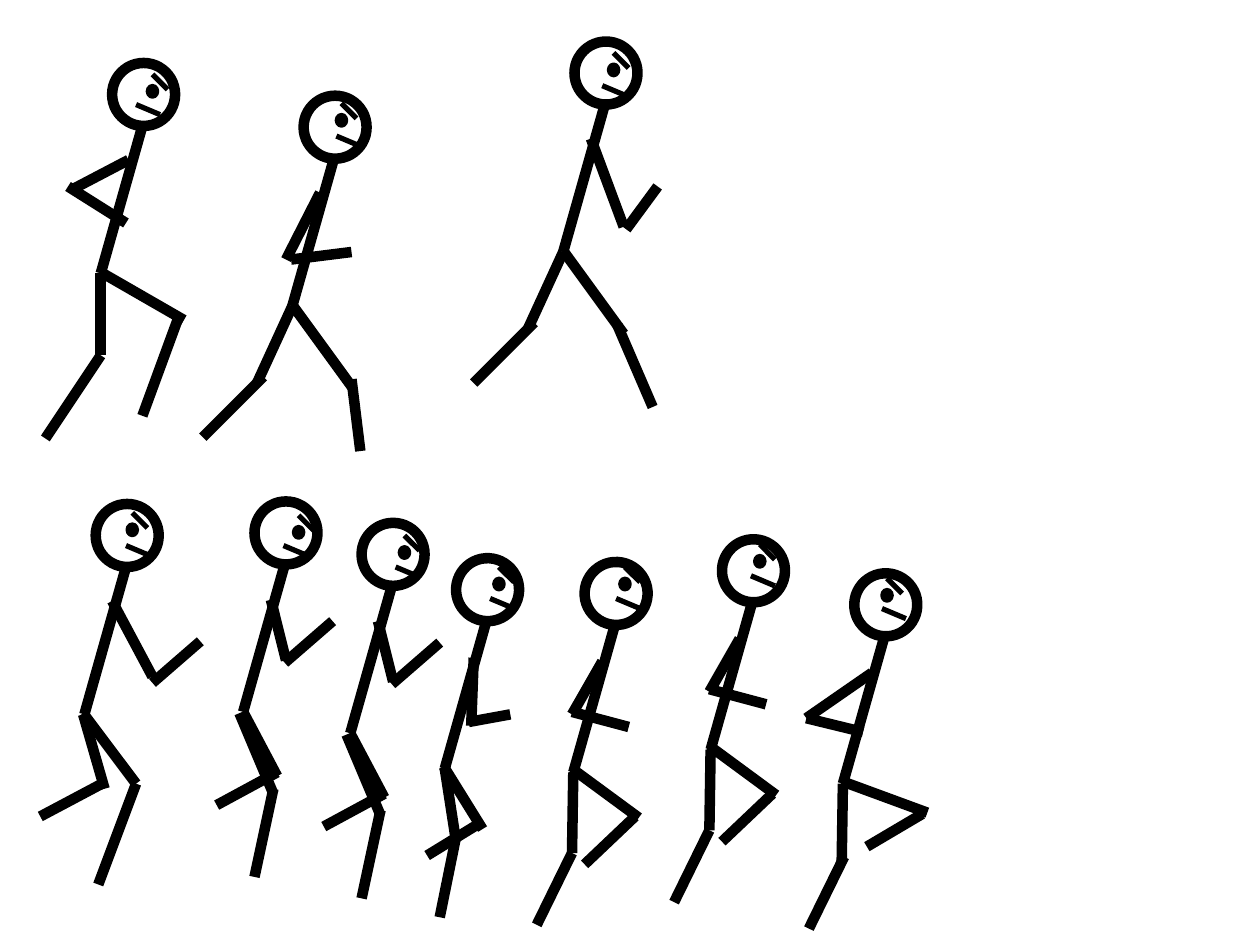
from dataclasses import dataclass

from lxml import etree
from pptx import Presentation
from pptx.dml.color import RGBColor
from pptx.enum import shapes
from pptx.oxml import ns
from pptx.util import Inches, Pt


@dataclass(frozen=True)
class Theme:
    ink: RGBColor = RGBColor(0, 0, 0)
    body: float = 6
    face: float = 3
    eye: float = 2


@dataclass(frozen=True)
class Pose:
    rear_thigh: tuple
    rear_shin: tuple
    front_thigh: tuple
    front_shin: tuple
    upper_arm: tuple
    forearm: tuple
    head_turn: float = 0

    def limbs(self):
        return (self.rear_thigh, self.rear_shin, self.front_thigh,
                self.front_shin, self.upper_arm, self.forearm)


THEME = Theme()
HEAD = 0.5
EYE = (0.08, 0.09)
TORSO = (0, 0, -0.33, 1.17)
HEAD_TURN = 318.2

STRIDE = Pose(
    (-0.33, 1.17, -0.61, 1.78), (-0.56, 1.73, -1.04, 2.21),
    (-0.33, 1.16, 0.15, 1.82), (0.10, 1.75, 0.38, 2.40),
    (-0.11, 0.27, 0.15, 0.97), (0.17, 0.99, 0.42, 0.65))
LANDING = Pose(
    STRIDE.rear_thigh, STRIDE.rear_shin,
    STRIDE.front_thigh, (0.14, 1.75, 0.21, 2.32),
    (-0.11, 0.27, -0.38, 0.80), (-0.34, 0.80, 0.14, 0.74))
PUSH_OFF = Pose(
    (-0.33, 1.17, -0.33, 1.82), (-0.33, 1.82, -0.77, 2.48),
    (-0.33, 1.16, 0.33, 1.54), (0.29, 1.51, 0, 2.30),
    (-0.11, 0.27, -0.55, 0.50), (-0.59, 0.48, -0.13, 0.77))
CONTACT = Pose(
    (-0.34, 1.17, -0.17, 1.76), (-0.19, 1.72, -0.68, 1.98),
    (-0.34, 1.16, 0.08, 1.72), (0.08, 1.72, -0.22, 2.52),
    (-0.11, 0.27, 0.21, 0.87), (0.21, 0.92, 0.59, 0.59))
RECOIL = Pose(
    (-0.33, 1.17, -0.06, 1.68), (-0.06, 1.65, -0.54, 1.91),
    (-0.36, 1.18, -0.09, 1.82), (-0.09, 1.78, -0.24, 2.48),
    (-0.11, 0.28, 0.01, 0.76), (0, 0.78, 0.38, 0.45))
PASSING = Pose(
    (-0.33, 1.17, -0.24, 1.75), (-0.24, 1.71, -0.37, 2.35),
    (-0.34, 1.15, -0.03, 1.65), (-0.03, 1.59, -0.47, 1.86),
    (-0.10, 0.29, -0.12, 0.83), (-0.14, 0.80, 0.19, 0.74), HEAD_TURN)
KNEE_UP = Pose(
    (-0.33, 1.17, -0.34, 1.81), (-0.34, 1.81, -0.62, 2.38),
    (-0.34, 1.14, 0.19, 1.53), (0.16, 1.52, -0.24, 1.90),
    (-0.10, 0.29, -0.34, 0.71), (-0.34, 0.69, 0.11, 0.81), HEAD_TURN)
KNEE_HIGH = Pose(
    (-0.33, 1.17, -0.34, 1.80), (-0.32, 1.75, -0.60, 2.32),
    (-0.34, 1.15, 0.34, 1.40), (0.30, 1.41, -0.14, 1.67),
    (-0.10, 0.29, -0.62, 0.65), (-0.62, 0.65, -0.17, 0.76), HEAD_TURN)

# Pose, neck, eye and mouth; eye and mouth are measured from the neck.
RUNNERS = [
    (STRIDE, (4.80, 0.83), (0.03, -0.32), (-0.02, -0.15)),
    (LANDING, (2.65, 1.26), (0.02, -0.35), (0.02, -0.18)),
    (PUSH_OFF, (1.13, 1.00), (0.04, -0.32), (-0.05, -0.17)),
    (CONTACT, (1.00, 4.50), (0.01, -0.34), (0, -0.17)),
    (RECOIL, (2.26, 4.48), (0.07, -0.30), (-0.01, -0.15)),
    (RECOIL, (3.11, 4.65), (0.06, -0.31), (0.03, -0.15)),
    (PASSING, (3.86, 4.93), (0.06, -0.34), (0.03, -0.18)),
    (KNEE_UP, (4.88, 4.96), (0.04, -0.37), (0.01, -0.21)),
    (KNEE_UP, (5.97, 4.78), (0.02, -0.37), (-0.01, -0.21)),
    (KNEE_HIGH, (7.02, 5.05), (-0.02, -0.37), (-0.02, -0.22)),
]


def add_stroke(runner, neck, segment, weight):
    x, y = neck
    x1, y1, x2, y2 = segment
    stroke = runner.shapes.add_connector(
        shapes.MSO_CONNECTOR.STRAIGHT,
        Inches(x + x1), Inches(y + y1), Inches(x + x2), Inches(y + y2))
    stroke.line.color.rgb = THEME.ink
    stroke.line.width = Pt(weight)
    etree.SubElement(stroke._element.spPr, ns.qn("a:effectLst"))


def add_oval(runner, neck, offset, size, weight, filled=False, turn=0):
    oval = runner.shapes.add_shape(
        shapes.MSO_SHAPE.OVAL,
        Inches(neck[0] + offset[0]), Inches(neck[1] + offset[1]),
        Inches(size[0]), Inches(size[1]))
    oval.shadow.inherit = False
    oval.rotation = turn
    oval.line.color.rgb = THEME.ink
    oval.line.width = Pt(weight)
    if filled:
        oval.fill.solid()
        oval.fill.fore_color.rgb = THEME.ink
    else:
        oval.fill.background()


def add_face(runner, neck, eye, mouth):
    add_oval(runner, neck, eye, EYE, THEME.eye, filled=True)
    brow_x, brow_y = eye[0] + 0.04, eye[1] - 0.09
    add_stroke(runner, neck, (brow_x, brow_y, brow_x + 0.12, brow_y + 0.12), THEME.face)
    add_stroke(runner, neck, (*mouth, mouth[0] + 0.19, mouth[1] + 0.08), THEME.face)


def add_runner(slide, pose, neck, eye, mouth):
    runner = slide.shapes.add_group_shape()
    for segment in (TORSO, *pose.limbs()):
        add_stroke(runner, neck, segment, THEME.body)
    add_oval(runner, neck, (-0.24, -HEAD), (HEAD, HEAD), THEME.body, turn=pose.head_turn)
    add_face(runner, neck, eye, mouth)


def main():
    deck = Presentation()
    deck.slide_width, deck.slide_height = Inches(10), Inches(7.5)
    slide = deck.slides.add_slide(deck.slide_layouts[6])
    for runner in RUNNERS:
        add_runner(slide, *runner)
    deck.save("out.pptx")


if __name__ == "__main__":
    main()
